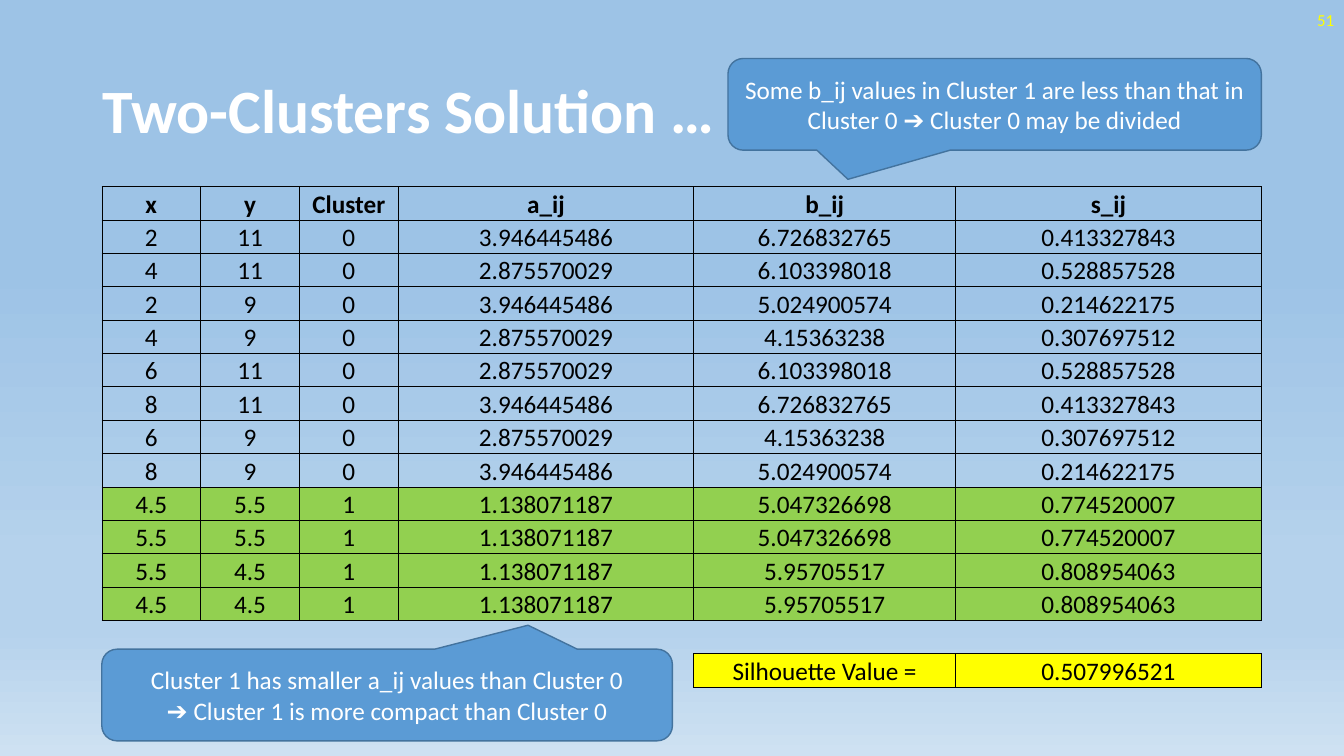
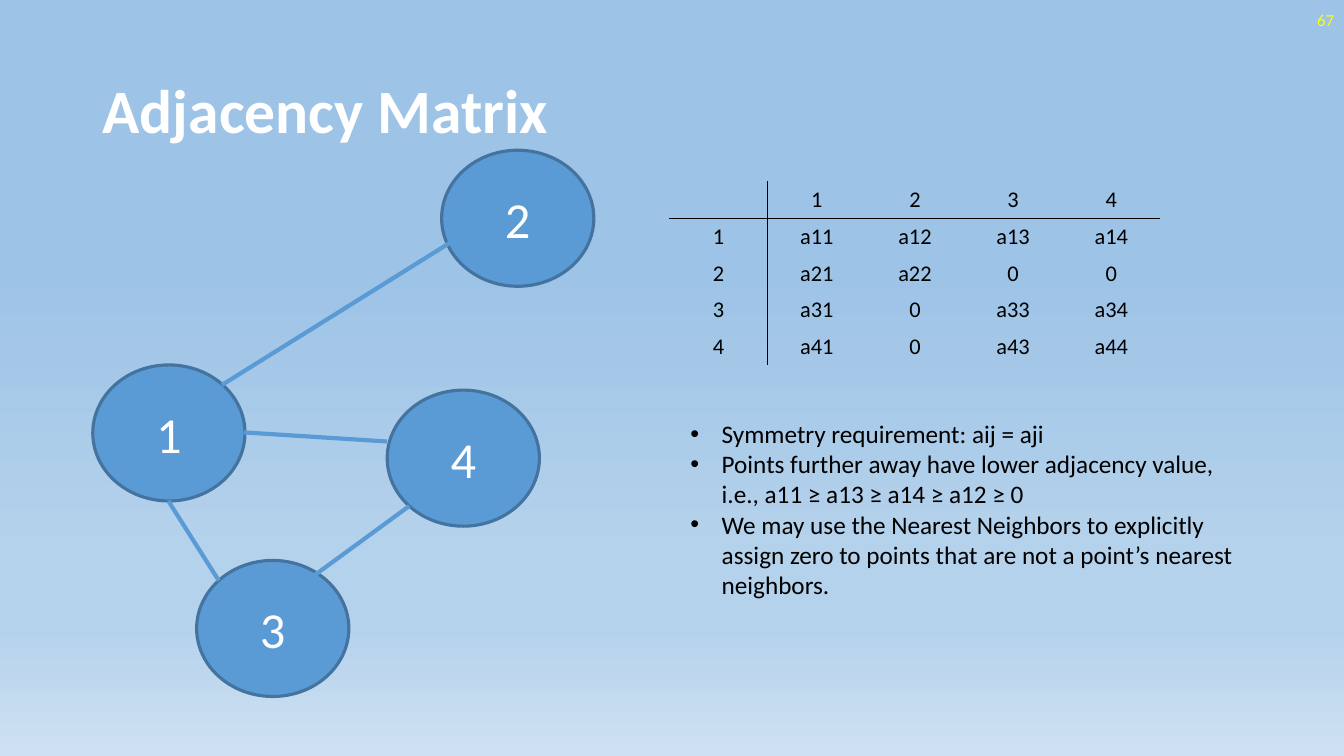
from lxml.etree import SubElement
from pptx import Presentation
from pptx.dml.color import RGBColor
from pptx.enum.shapes import MSO_CONNECTOR, MSO_SHAPE
from pptx.enum.text import MSO_ANCHOR, MSO_AUTO_SIZE, PP_ALIGN
from pptx.oxml.ns import qn
from pptx.util import Inches, Pt

rgb = RGBColor.from_string
FONT = "Calibri"
WHITE, BLACK, YELLOW, GREEN = "FFFFFF", "000000", "FFFF00", "92D050"
BLUE, DARK_BLUE = "5B9BD5", "43739E"
GRADIENT = [(35, "9DC3E6"), (74, "B5D2EC"), (83, "B5D2EC"), (100, "CEE1F2")]


def write(tf, text, size, color, align=PP_ALIGN.CENTER, bold=False):
    tf.text = text
    for p in tf.paragraphs:
        p.alignment = align
        for r in p.runs:
            r.font.name, r.font.size, r.font.bold = FONT, Pt(size), bold
            r.font.color.rgb = rgb(color)


def format_cell(cell, sides, anchor, fill=None):
    """Draw thin black borders on the given sides (of "LRTB") and none elsewhere."""
    tcPr = cell._tc.get_or_add_tcPr()
    for side in "LRTB":
        ln = SubElement(tcPr, qn(f"a:ln{side}"), w=str(Pt(0.5)))
        if side in sides:
            paint = SubElement(ln, qn("a:solidFill"))
            SubElement(paint, qn("a:srgbClr"), val=BLACK)
        else:
            SubElement(ln, qn("a:noFill"))
    if fill:
        cell.fill.solid()
        cell.fill.fore_color.rgb = rgb(fill)
    else:
        cell.fill.background()
    cell.margin_left = cell.margin_right = cell.margin_top = Inches(0.01)
    cell.margin_bottom = 0
    cell.vertical_anchor = anchor


prs = Presentation()
prs.slide_width, prs.slide_height = Inches(13.33), Inches(7.5)

# Shared background
master = prs.slide_master
bg = master.background.fill
bg.gradient()
bg.gradient_angle = 270
stops = master.element.find(".//" + qn("a:gsLst"))
for stop in list(stops):
    stops.remove(stop)
for percent, color in GRADIENT:
    stop = SubElement(stops, qn("a:gs"), pos=str(percent * 1000))
    SubElement(stop, qn("a:srgbClr"), val=color)

# Titles and slide numbers
slides = []
for title, number in [("Two-Clusters Solution …", "51"), ("Adjacency Matrix", "67")]:
    s = prs.slides.add_slide(prs.slide_layouts[6])
    slides.append(s)
    tf = s.shapes.add_textbox(Inches(0.92), Inches(0.4), Inches(11.5), Inches(1.45)).text_frame
    tf.word_wrap, tf.vertical_anchor = True, MSO_ANCHOR.MIDDLE
    write(tf, title, 44, WHITE, PP_ALIGN.LEFT, bold=True)
    tf.paragraphs[0].line_spacing = 0.9
    tf = s.shapes.add_textbox(Inches(10.33), 0, Inches(3), Inches(0.4)).text_frame
    tf.word_wrap, tf.vertical_anchor = True, MSO_ANCHOR.MIDDLE
    write(tf, number, 12, YELLOW, PP_ALIGN.RIGHT)
clusters, adjacency = slides

# Two-cluster silhouette table
points = [row.split() for row in (
    "x y Cluster a_ij b_ij s_ij",
    "2 11 0 3.946445486 6.726832765 0.413327843",
    "4 11 0 2.875570029 6.103398018 0.528857528",
    "2 9 0 3.946445486 5.024900574 0.214622175",
    "4 9 0 2.875570029 4.15363238 0.307697512",
    "6 11 0 2.875570029 6.103398018 0.528857528",
    "8 11 0 3.946445486 6.726832765 0.413327843",
    "6 9 0 2.875570029 4.15363238 0.307697512",
    "8 9 0 3.946445486 5.024900574 0.214622175",
    "4.5 5.5 1 1.138071187 5.047326698 0.774520007",
    "5.5 5.5 1 1.138071187 5.047326698 0.774520007",
    "5.5 4.5 1 1.138071187 5.95705517 0.808954063",
    "4.5 4.5 1 1.138071187 5.95705517 0.808954063",
)]
gap_row = len(points)
rows = points + [[""] * 6, [""] * 4 + ["Silhouette Value =", "0.507996521"]]
table = clusters.shapes.add_table(len(rows), 6, Inches(1.01), Inches(1.85),
                                  Inches(11.5), Inches(4.97)).table
table.first_row = table.horz_banding = False
for col, width in zip(table.columns, (0.98, 0.98, 0.98, 2.93, 2.6, 3.03)):
    col.width = Inches(width)
for i, row in enumerate(rows):
    for j, text in enumerate(row):
        if text:
            sides = "LRTB"
        elif i == gap_row:
            sides = "TB" if j >= 4 else "T"
        else:
            sides = "R" if j == 3 else ""
        fill = GREEN if row[2] == "1" else YELLOW if text and i > gap_row else None
        cell = table.cell(i, j)
        format_cell(cell, sides, MSO_ANCHOR.BOTTOM, fill)
        write(cell.text_frame, text, 18, BLACK, bold=i == 0)

# Callouts
for x, y, w, tip_x, tip_y, text in [
    (1.01, 6.44, 5.66, 0.247, -0.761,
     "Cluster 1 has smaller a_ij values than Cluster 0\v"
     "➔ Cluster 1 is more compact than Cluster 0"),
    (7.22, 0.58, 5.29, -0.275, 0.818,
     "Some b_ij values in Cluster 1 are less than that in "
     "Cluster 0 ➔ Cluster 0 may be divided"),
]:
    sp = clusters.shapes.add_shape(MSO_SHAPE.ROUNDED_RECTANGULAR_CALLOUT,
                                   Inches(x), Inches(y), Inches(w), Inches(0.91))
    sp.adjustments[0], sp.adjustments[1] = tip_x, tip_y
    sp.shadow.inherit = False
    sp.fill.solid()
    sp.fill.fore_color.rgb = rgb(BLUE)
    sp.line.color.rgb, sp.line.width = rgb(DARK_BLUE), Pt(1)
    write(sp.text_frame, text, 18, WHITE)

# Adjacency matrix
matrix = [
    ["", "1", "2", "3", "4"],
    ["1", "a11", "a12", "a13", "a14"],
    ["2", "a21", "a22", "0", "0"],
    ["3", "a31", "0", "a33", "a34"],
    ["4", "a41", "0", "a43", "a44"],
]
table = adjacency.shapes.add_table(5, 5, Inches(6.64), Inches(1.8),
                                   Inches(4.87), Inches(1.82)).table
table.first_row = table.horz_banding = False
for i, row in enumerate(matrix):
    for j, text in enumerate(row):
        sides = {0: "R", 1: "L"}.get(j, "") + {0: "B", 1: "T"}.get(i, "")
        cell = table.cell(i, j)
        format_cell(cell, sides, MSO_ANCHOR.MIDDLE)
        write(cell.text_frame, text, 16, BLACK)

# Graph nodes and edges
for label, x, y in [("1", 0.92, 3.62), ("2", 4.38, 1.49), ("3", 1.95, 5.56), ("4", 3.84, 3.87)]:
    sp = adjacency.shapes.add_shape(MSO_SHAPE.OVAL, Inches(x), Inches(y), Inches(1.51), Inches(1.35))
    sp.shadow.inherit = False
    sp.fill.solid()
    sp.fill.fore_color.rgb = rgb(BLUE)
    sp.line.color.rgb, sp.line.width = rgb(DARK_BLUE), Pt(2.25)
    write(sp.text_frame, label, 36, WHITE)

for ends in [(2.2, 3.82, 4.46, 2.41), (2.42, 4.29, 3.84, 4.38),
             (3.02, 5.78, 4.06, 5.02), (1.67, 4.97, 2.17, 5.76)]:
    edge = adjacency.shapes.add_connector(MSO_CONNECTOR.STRAIGHT, *map(Inches, ends))
    edge.line.color.rgb, edge.line.width = rgb(BLUE), Pt(3)
    SubElement(edge._element.spPr, qn("a:effectLst"))

# Notes on the matrix
tf = adjacency.shapes.add_textbox(Inches(6.75), Inches(4.1), Inches(5.6), Inches(1.92)).text_frame
tf.word_wrap, tf.auto_size = True, MSO_AUTO_SIZE.SHAPE_TO_FIT_TEXT
write(tf, "\n".join([
    "Symmetry requirement: aij = aji",
    "Points further away have lower adjacency value, i.e., a11 ≥ a13 ≥ a14 ≥ a12 ≥ 0",
    "We may use the Nearest Neighbors to explicitly assign zero to points "
    "that are not a point’s nearest neighbors.",
]), 18, BLACK, PP_ALIGN.LEFT)
for p in tf.paragraphs:
    pPr = p._p.get_or_add_pPr()
    pPr.set("marL", str(Inches(0.31)))
    pPr.set("indent", str(-Inches(0.31)))
    SubElement(pPr, qn("a:buFont"), typeface="Arial")
    SubElement(pPr, qn("a:buChar"), char="•")

prs.save("out.pptx")
